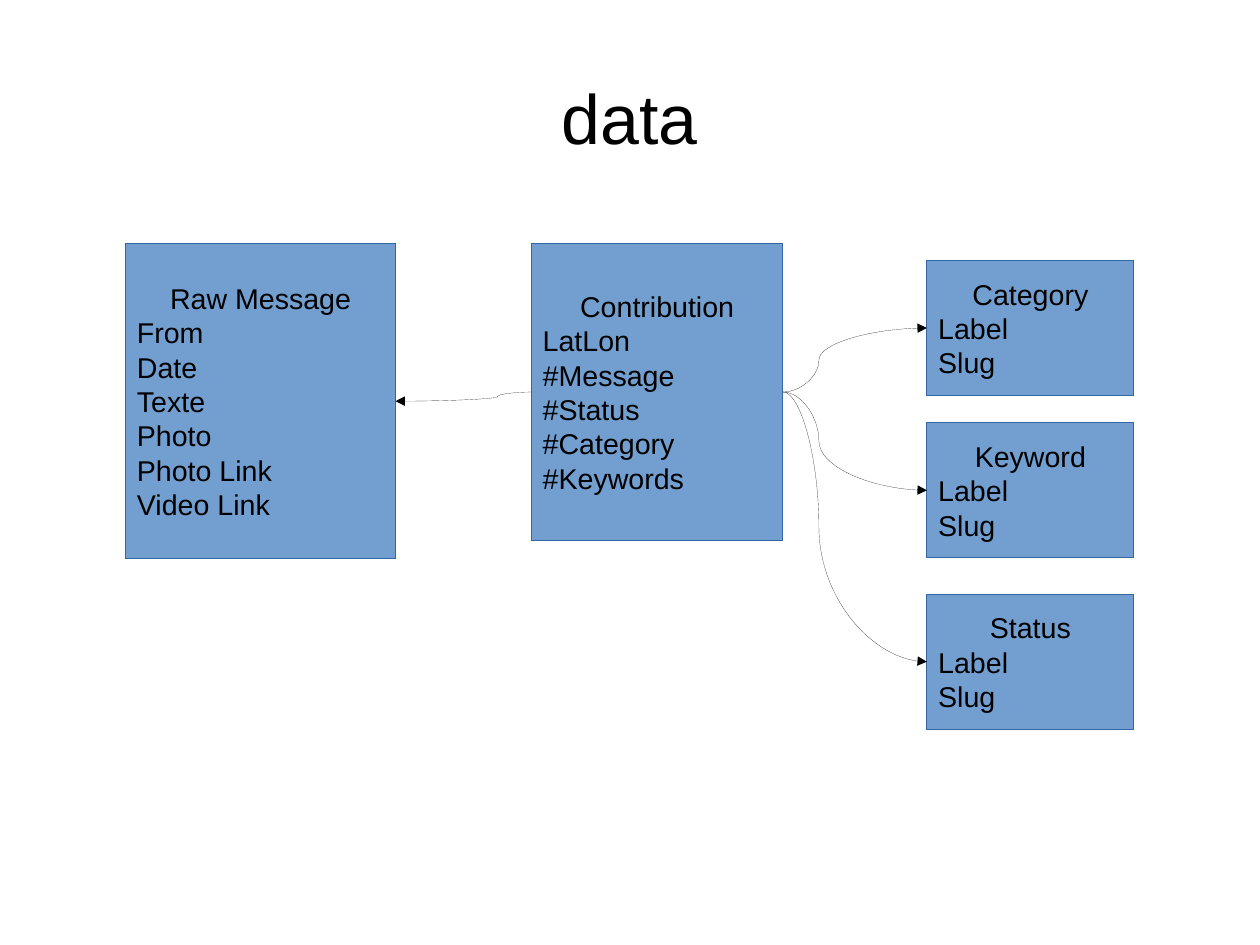
from lxml import etree
from pptx import Presentation
from pptx.dml.color import RGBColor
from pptx.enum.shapes import MSO_CONNECTOR, MSO_SHAPE
from pptx.enum.text import MSO_ANCHOR, PP_ALIGN
from pptx.oxml.ns import qn
from pptx.util import Inches, Pt

RECTANGLE = MSO_SHAPE.RECTANGLE
CURVE = MSO_CONNECTOR.CURVE
MIDDLE = MSO_ANCHOR.MIDDLE
CENTER = PP_ALIGN.CENTER
LEFT = PP_ALIGN.LEFT
LEFT_SIDE, RIGHT_SIDE = 1, 3

BLACK = RGBColor(0x00, 0x00, 0x00)
BOX_FILL = RGBColor(0x72, 0x9F, 0xCF)
BOX_LINE = RGBColor(0x34, 0x65, 0xA4)

CM_PER_INCH = 2.54
HAIRLINE = Pt(0.01)  # a width of 0 would fall back to the theme's line width
TITLE_FONT = {"name": "Arial", "size": Pt(44)}
BOX_FONT = {"name": "Arial", "size": Pt(18)}
TITLE_FRAME = {
    "word_wrap": True, "vertical_anchor": MIDDLE, "margin_left": 0,
    "margin_right": 0, "margin_top": 0, "margin_bottom": 0,
}
BOX_FRAME = {
    "word_wrap": True, "vertical_anchor": MIDDLE,
    "margin_left": Inches(0.1), "margin_right": Inches(0.1),
    "margin_top": Inches(0.05), "margin_bottom": Inches(0.05),
}

MAIN_TOP = 2.13
LOOKUP_LEFT, LOOKUP_WIDTH, LOOKUP_HEIGHT = 8.11, 1.81, 1.18
LOOKUP_TOPS = {"Category": 2.28, "Keyword": 3.7, "Status": 5.2}
MESSAGE_FIELDS = ["From", "Date", "Texte", "Photo", "Photo Link", "Video Link"]
CONTRIBUTION_FIELDS = ["LatLon", "#Message", "#Status", "#Category", "#Keywords"]


def set_attributes(target, values):
    for name, value in values.items():
        setattr(target, name, value)


def set_hairline(line, color):
    line.color.rgb = color
    line.width = HAIRLINE


def write_lines(text_frame, lines, frame_format, font_format):
    """Write one paragraph per line, with only the first one centred."""
    set_attributes(text_frame, frame_format)
    text_frame.text = "\n".join(lines)
    for index, paragraph in enumerate(text_frame.paragraphs):
        paragraph.alignment = LEFT if index else CENTER
        set_attributes(paragraph.font, font_format)
        paragraph.font.color.rgb = BLACK


def add_title(slide, text):
    title = slide.shapes.add_textbox(
        Inches(0.55), Inches(0.33), Inches(9.92), Inches(1.38))
    write_lines(title.text_frame, [text], TITLE_FRAME, TITLE_FONT)


def add_entity(slide, name, fields, left, top, width, height):
    entity = slide.shapes.add_shape(
        RECTANGLE, Inches(left), Inches(top), Inches(width), Inches(height))
    entity.shadow.inherit = False
    entity.fill.solid()
    entity.fill.fore_color.rgb = BOX_FILL
    set_hairline(entity.line, BOX_LINE)
    write_lines(entity.text_frame, [name, *fields], BOX_FRAME, BOX_FONT)
    return entity


def add_reference(slide, source, source_side, target, target_side):
    """Join two entities with a curved arrow that bends a quarter of the way."""
    connector = slide.shapes.add_connector(CURVE, 0, 0, 0, 0)
    connector.begin_connect(source, source_side)
    connector.end_connect(target, target_side)
    set_hairline(connector.line, BLACK)
    properties = connector._element.spPr
    guides = properties.find(qn("a:prstGeom")).get_or_add_avLst()
    etree.SubElement(guides, qn("a:gd"), name="adj1", fmla="val 25000")
    etree.SubElement(properties.find(qn("a:ln")), qn("a:tailEnd"), type="triangle")
    etree.SubElement(properties, qn("a:effectLst"))


def main():
    presentation = Presentation()
    presentation.slide_width = Inches(28 / CM_PER_INCH)
    presentation.slide_height = Inches(21 / CM_PER_INCH)
    slide = presentation.slides.add_slide(presentation.slide_layouts[6])

    add_title(slide, "data")
    message = add_entity(
        slide, "Raw Message", MESSAGE_FIELDS, 1.1, MAIN_TOP, 2.36, 2.76)
    contribution = add_entity(
        slide, "Contribution", CONTRIBUTION_FIELDS, 4.65, MAIN_TOP, 2.2, 2.6)
    add_reference(slide, contribution, LEFT_SIDE, message, RIGHT_SIDE)
    for name, top in LOOKUP_TOPS.items():
        lookup = add_entity(slide, name, ["Label", "Slug"], LOOKUP_LEFT, top,
                            LOOKUP_WIDTH, LOOKUP_HEIGHT)
        add_reference(slide, contribution, RIGHT_SIDE, lookup, LEFT_SIDE)

    presentation.save("out.pptx")


if __name__ == "__main__":
    main()
